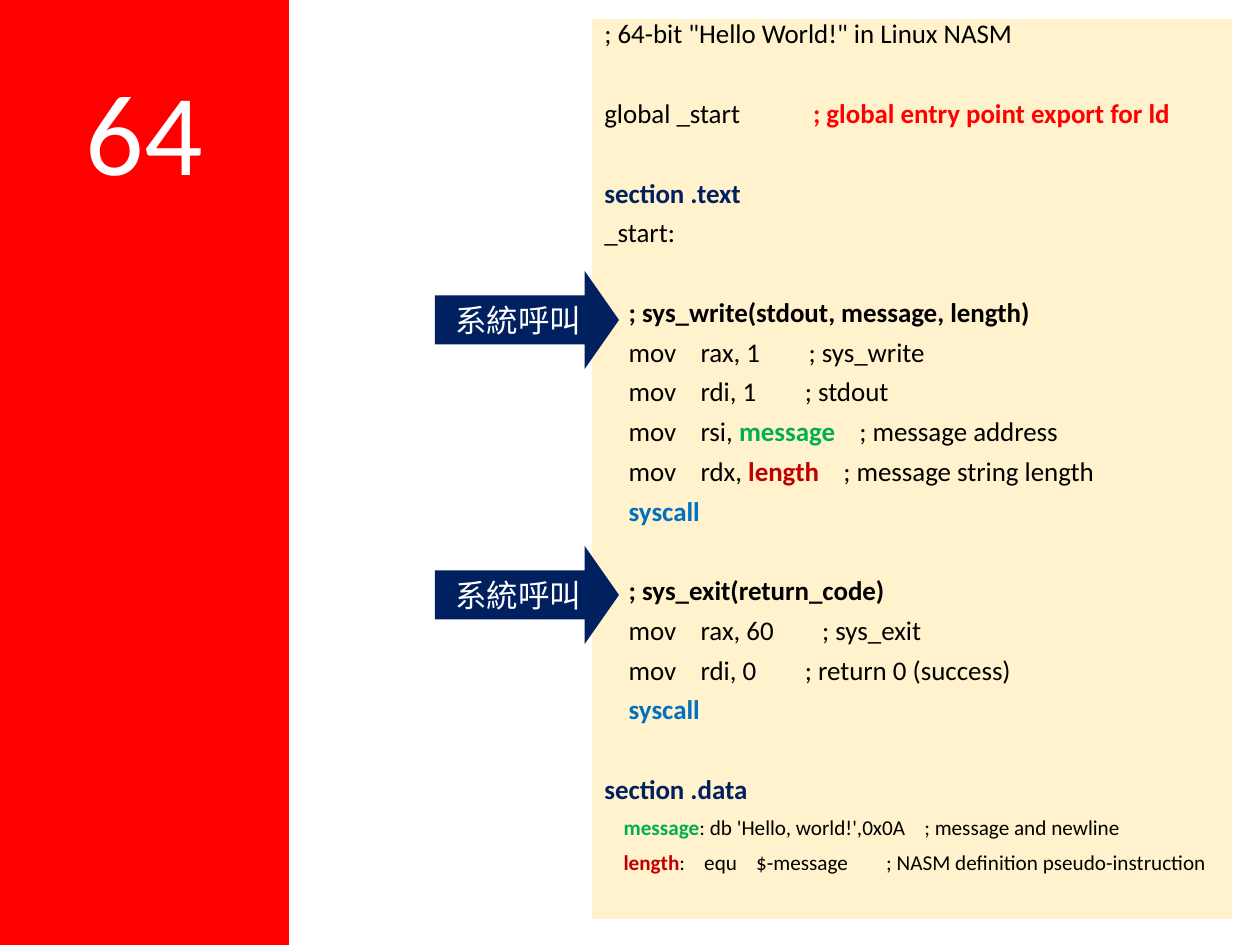
from dataclasses import dataclass

from pptx import Presentation
from pptx.dml.color import RGBColor
from pptx.enum.shapes import MSO_SHAPE
from pptx.enum.text import MSO_ANCHOR, PP_ALIGN
from pptx.util import Pt

RECTANGLE, RIGHT_ARROW = MSO_SHAPE.RECTANGLE, MSO_SHAPE.RIGHT_ARROW
TOP, MIDDLE = MSO_ANCHOR.TOP, MSO_ANCHOR.MIDDLE
LEFT, CENTER = PP_ALIGN.LEFT, PP_ALIGN.CENTER
EMU_PER_PX = 914400 / 126


@dataclass(frozen=True)
class Theme:
    font: str = "Calibri"
    white: str = "FFFFFF"
    black: str = "000000"
    banner: str = "FF0000"
    panel: str = "FFF2CC"
    navy: str = "002060"
    red: str = "FF0000"
    green: str = "00B050"
    crimson: str = "C00000"
    blue: str = "0070C0"
    banner_size: float = 66
    arrow_size: float = 18
    code_size: float = 15.4
    data_size: float = 12.1
    line_spacing: float = 0.7
    line_gap: float = 9.75
    block_gap: float = 32.7


THEME = Theme()

# Each block is a list of lines; each line is a list of (text, bold colour or None).
CODE_BLOCKS = [
    [[('; 64-bit "Hello World!" in Linux NASM', None)]],
    [[("global _start            ", None),
      ("; global entry point export for ld", THEME.red)]],
    [[("section .text", THEME.navy)],
     [("_start:", None)]],
    [[("    ", None), ("; sys_write(stdout, message, length)", THEME.black)],
     [("    mov    rax, 1        ; sys_write", None)],
     [("    mov    rdi, 1        ; stdout", None)],
     [("    mov    rsi, ", None), ("message", THEME.green),
      ("    ; message address", None)],
     [("    mov    rdx, ", None), ("length", THEME.crimson),
      ("    ; message string length", None)],
     [("    syscall", THEME.blue)]],
    [[("    ", None), ("; sys_exit(return_code)", THEME.black)],
     [("    mov    rax, 60        ; sys_exit", None)],
     [("    mov    rdi, 0        ; return 0 (success)", None)],
     [("    syscall", THEME.blue)]],
    [[("section .data", THEME.navy)]],
]
DATA_LINES = [
    [("    ", None), ("message", THEME.green),
     (": db 'Hello, world!',0x0A    ; message and newline", None)],
    [("    ", None), ("length", THEME.crimson),
     (":    equ    $-message        ; NASM definition pseudo-instruction", None)],
]


def px(length):
    return round(length * EMU_PER_PX)


def add_block(slide, kind, box, fill, anchor):
    """Add a flat filled shape, without line or shadow, in a px box."""
    block = slide.shapes.add_shape(kind, *(px(side) for side in box))
    block.shadow.inherit = False
    block.fill.solid()
    block.fill.fore_color.rgb = RGBColor.from_string(fill)
    block.line.fill.background()
    block.text_frame.word_wrap = True
    block.text_frame.vertical_anchor = anchor
    return block


def format_run(run, size, colour, bold=False):
    run.font.name = THEME.font
    run.font.size = Pt(size)
    run.font.bold = bold
    run.font.color.rgb = RGBColor.from_string(colour)


def write_label(block, text, size):
    block.text_frame.text = text
    paragraph = block.text_frame.paragraphs[0]
    paragraph.alignment = CENTER
    format_run(paragraph.runs[0], size, THEME.white)


def add_code_panel(slide, box):
    frame = add_block(slide, RECTANGLE, box, THEME.panel, TOP).text_frame
    lines = [(line, THEME.code_size, THEME.line_gap if i else THEME.block_gap)
             for block in CODE_BLOCKS for i, line in enumerate(block)]
    lines += [(line, THEME.data_size, THEME.line_gap) for line in DATA_LINES]
    for number, (line, size, gap) in enumerate(lines):
        paragraph = frame.add_paragraph() if number else frame.paragraphs[0]
        paragraph.alignment = LEFT
        paragraph.line_spacing = THEME.line_spacing
        paragraph.space_before = Pt(gap if number else 0)
        for text, accent in line:
            run = paragraph.add_run()
            run.text = text
            format_run(run, size, accent or THEME.black, bold=accent is not None)


def add_banner(slide, box):
    banner = add_block(slide, RECTANGLE, box, THEME.banner, TOP)
    banner.text_frame.margin_top = px(60)
    write_label(banner, "64", THEME.banner_size)


def add_call_arrow(slide, box):
    arrow = add_block(slide, RIGHT_ARROW, box, THEME.navy, MIDDLE)
    arrow.adjustments[0] = 0.5
    arrow.adjustments[1] = 0.35
    write_label(arrow, "系統呼叫", THEME.arrow_size)


def main():
    deck = Presentation()
    deck.slide_width, deck.slide_height = px(1260), px(945)
    slide = deck.slides.add_slide(deck.slide_layouts[6])
    add_code_panel(slide, (592, 19, 640, 900))
    add_banner(slide, (0, 0, 289, 945))
    for arrow_top in (271, 546):
        add_call_arrow(slide, (435, arrow_top, 184, 98))
    deck.save("out.pptx")


if __name__ == "__main__":
    main()
